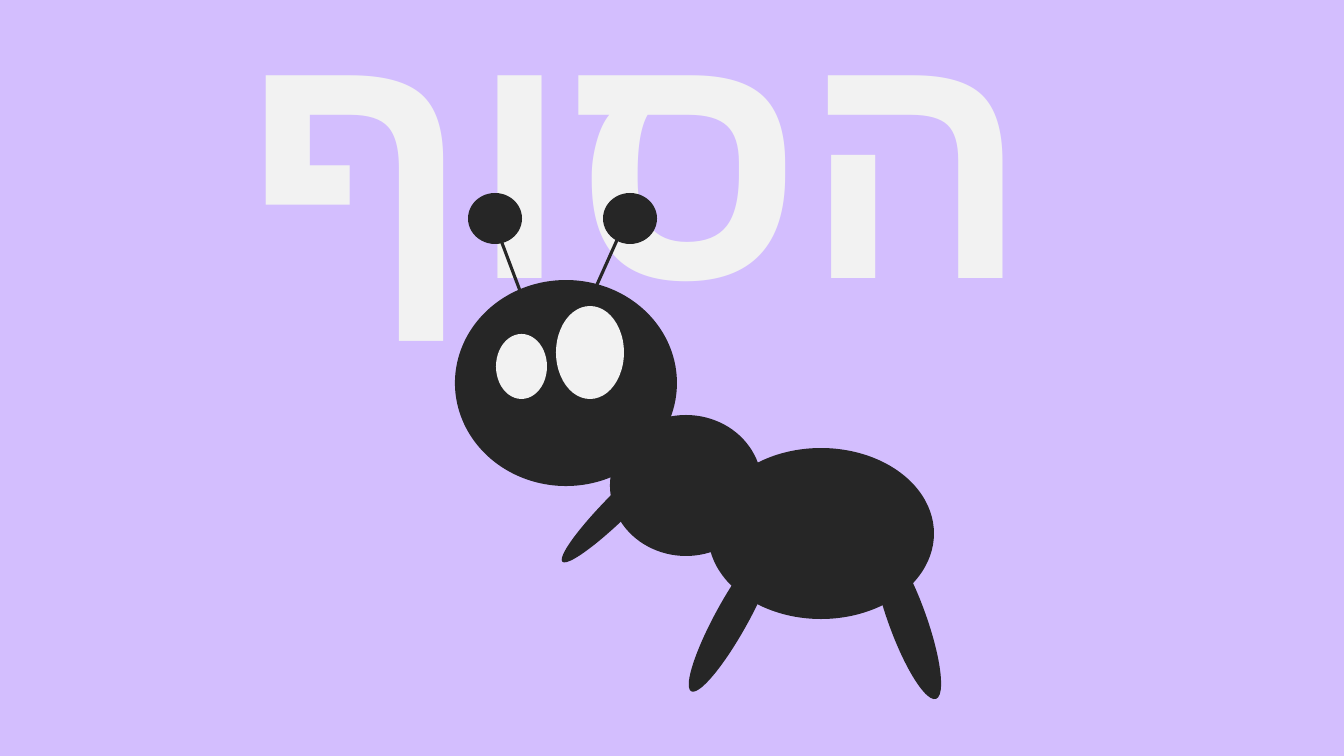
from lxml.etree import SubElement
from pptx import Presentation
from pptx.dml.color import RGBColor
from pptx.enum.shapes import MSO_CONNECTOR, MSO_SHAPE
from pptx.enum.text import MSO_AUTO_SIZE, PP_ALIGN
from pptx.oxml.ns import qn
from pptx.util import Emu, Pt

# Content: lengths in px, ellipses as (left, top, width, height, rotation, colour)
TITLE = "הסוף"
TITLE_BOX = (115, -61, 1045, 415)
BODY = [
    (455, 280, 222, 206, 0, "ink"),  # head
    (708, 448, 226, 171, 0, "ink"),  # abdomen
    (610, 415, 152, 141, 0, "ink"),  # thorax
]
EYES = [(496, 334, 51, 65, 0, "light"), (556, 306, 68, 93, 0, "light")]
LEGS = [
    (888, 533, 38, 171, 340.1, "ink"),
    (716, 531, 33, 171, 28.9, "ink"),
    (610, 416, 26, 171, 45.2, "ink"),
]
ANTENNAE = [(622, 229, 591, 298), (496, 227, 522, 296)]
ANTENNA_TIPS = [(603, 193, 54, 51, 0, "ink"), (468, 193, 54, 51, 0, "ink")]

THEME = {
    "background": RGBColor.from_string("D3BEFE"),
    "ink": RGBColor.from_string("262626"),
    "light": RGBColor.from_string("F2F2F2"),
    "font": "Arial",
    "title_size": Pt(239),
    "antenna_width": Pt(2.25),
}
EMU_PER_PX = 914400 / 100.8


def px(*lengths):
    return [Emu(round(length * EMU_PER_PX)) for length in lengths]


def add_title(slide):
    title = slide.shapes.add_textbox(*px(*TITLE_BOX)).text_frame
    title.word_wrap = True
    title.auto_size = MSO_AUTO_SIZE.SHAPE_TO_FIT_TEXT
    line = title.paragraphs[0]
    line.text = TITLE
    line.alignment = PP_ALIGN.CENTER
    line.font.name = THEME["font"]
    line.font.size = THEME["title_size"]
    line.font.bold = True
    line.font.color.rgb = THEME["light"]
    # Right-to-left direction and the font for Hebrew letters
    properties = line._p.get_or_add_pPr()
    properties.set("rtl", "1")
    SubElement(properties.find(qn("a:defRPr")), qn("a:cs"), typeface=THEME["font"])


def add_ellipses(ant, ellipses):
    for *box, rotation, colour in ellipses:
        part = ant.shapes.add_shape(MSO_SHAPE.OVAL, *px(*box))
        part.rotation = rotation
        part.shadow.inherit = False
        part.fill.solid()
        part.fill.fore_color.rgb = THEME[colour]
        part.line.fill.background()


def add_antennae(ant):
    for ends in ANTENNAE:
        antenna = ant.shapes.add_connector(MSO_CONNECTOR.STRAIGHT, *px(*ends))
        antenna.line.color.rgb = THEME["ink"]
        antenna.line.width = THEME["antenna_width"]
        SubElement(antenna._element.spPr, qn("a:effectLst"))


def main():
    deck = Presentation()
    deck.slide_width, deck.slide_height = px(1344, 756)
    slide = deck.slides.add_slide(deck.slide_layouts[6])
    slide.background.fill.solid()
    slide.background.fill.fore_color.rgb = THEME["background"]

    add_title(slide)

    # The ant, from back to front
    ant = slide.shapes.add_group_shape()
    add_ellipses(ant, BODY + EYES + LEGS)
    add_antennae(ant)
    add_ellipses(ant, ANTENNA_TIPS)

    deck.save("out.pptx")


if __name__ == "__main__":
    main()
